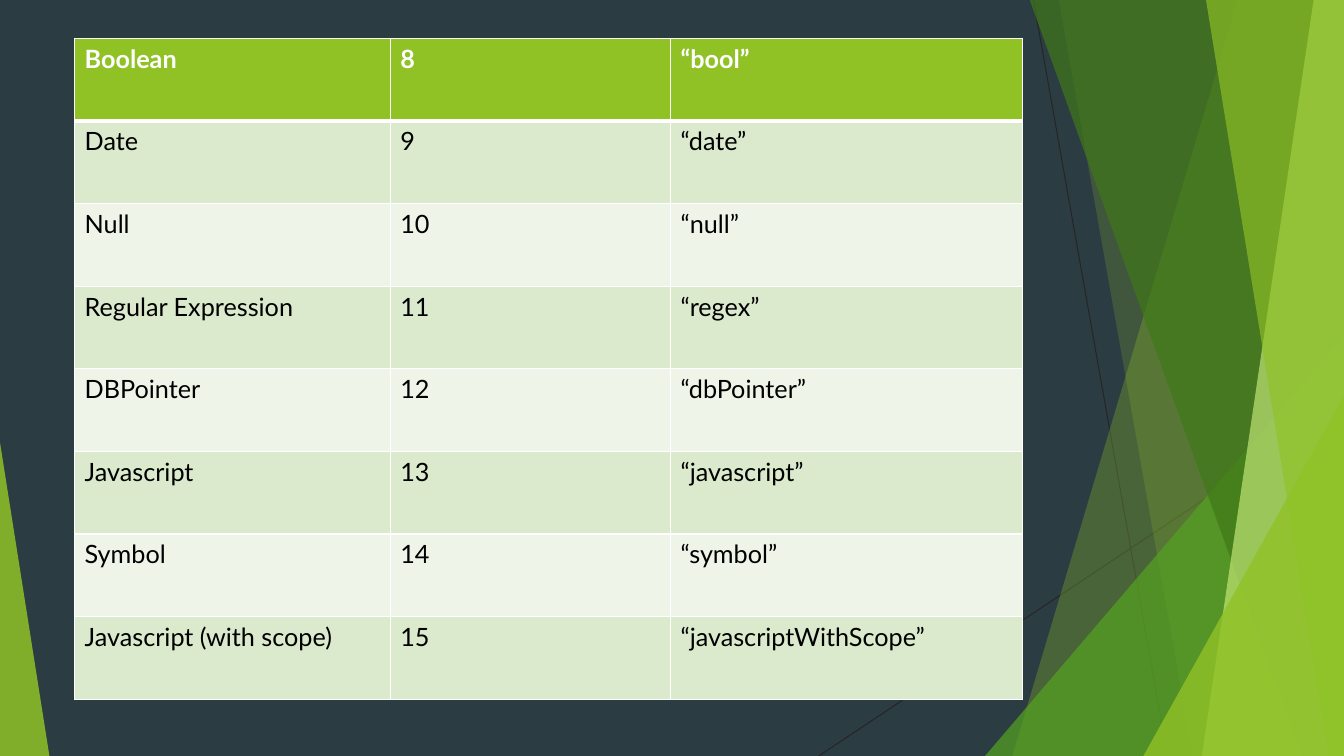
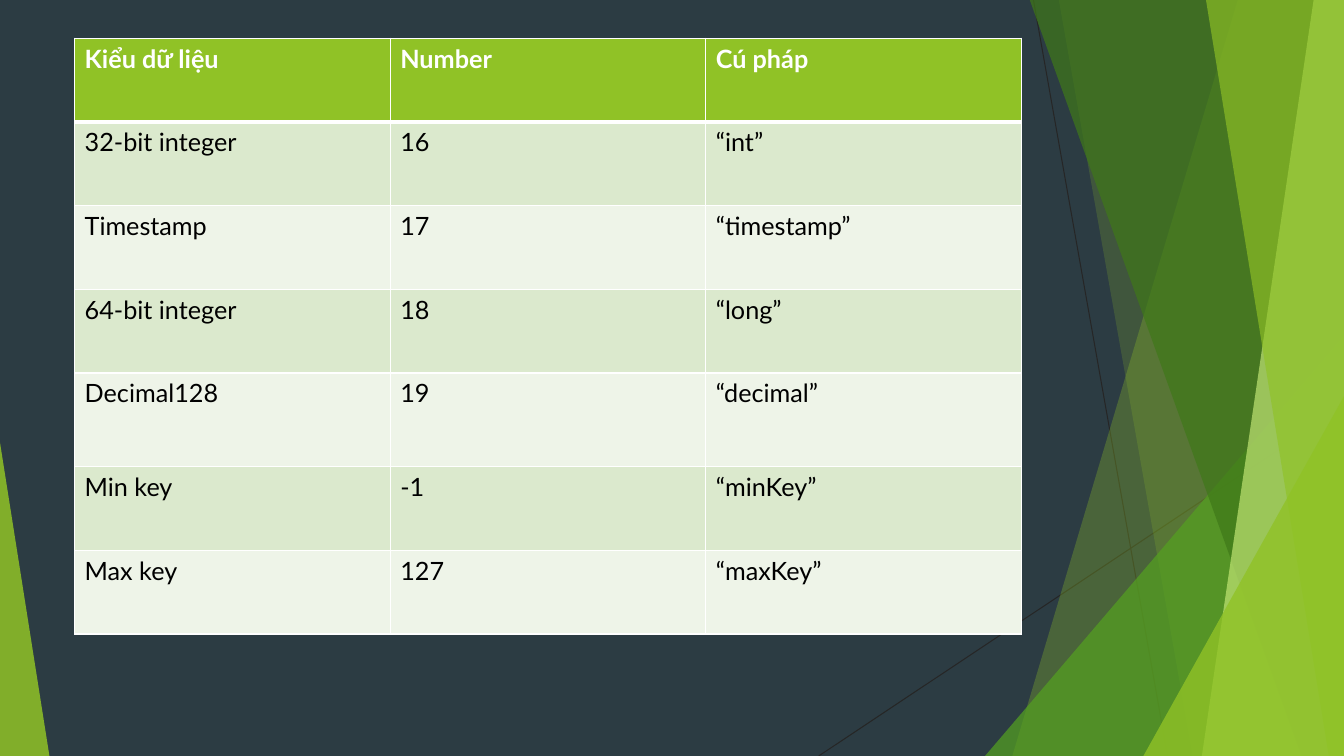
import pptx
import pptx.util
import pptx.dml.color
import pptx.enum.shapes
import pptx.oxml
import pptx.oxml.ns
import lxml.etree

Inches = pptx.util.Inches
Pt = pptx.util.Pt
RGB = pptx.dml.color.RGBColor
qn = pptx.oxml.ns.qn

NIGHT = RGB(0x2C, 0x3C, 0x43)
INK = RGB(0x26, 0x26, 0x26)
LIME = RGB(0x90, 0xC2, 0x26)
GREEN = RGB(0x54, 0xA0, 0x21)
MOSS = RGB(0x3F, 0x78, 0x19)
PALE = RGB(0xC0, 0xE4, 0x74)
BAND = RGB(0xDB, 0xE9, 0xCD)
SOFT = RGB(0xEE, 0xF4, 0xE8)
WHITE = RGB(0xFF, 0xFF, 0xFF)
BLACK = RGB(0, 0, 0)

FONT = "Lato"
WIDE, HIGH = 13.33, 7.5
RISE = -0.01

TYPES = [
    ("Boolean", "8", "“bool”"),
    ("Date", "9", "“date”"),
    ("Null", "10", "“null”"),
    ("Regular Expression", "11", "“regex”"),
    ("DBPointer", "12", "“dbPointer”"),
    ("Javascript", "13", "“javascript”"),
    ("Symbol", "14", "“symbol”"),
    ("Javascript (with scope)", "15", "“javascriptWithScope”"),
]
MORE = [
    ("Kiểu dữ liệu", "Number", "Cú pháp"),
    ("32-bit integer", "16", "“int”"),
    ("Timestamp", "17", "“timestamp”"),
    ("64-bit integer", "18", "“long”"),
    ("Decimal128", "19", "“decimal”"),
    ("Min key", "-1", "“minKey”"),
    ("Max key", "127", "“maxKey”"),
]


def tint(shape, color, alpha):
    shape.shadow.inherit = False
    shape.line.fill.background()
    shape.fill.solid()
    shape.fill.fore_color.rgb = color
    node = shape.fill._xPr.find(".//" + qn("a:srgbClr"))
    lxml.etree.SubElement(node, qn("a:alpha"), val=str(alpha * 1000))


def add_line(slide, *ends):
    line = slide.shapes.add_connector(
        pptx.enum.shapes.MSO_CONNECTOR.STRAIGHT, *map(Inches, ends))
    line.line.color.rgb = INK
    line.line.width = Pt(0.75)
    lxml.etree.SubElement(line._element.spPr, qn("a:effectLst"))


def add_shard(slide, top, base, color, alpha):
    pen = slide.shapes.build_freeform(Inches(top), Inches(RISE))
    rest = [(WIDE, RISE), (WIDE, HIGH), (base, HIGH)]
    pen.add_line_segments([(Inches(x), Inches(y)) for x, y in rest])
    tint(pen.convert_to_shape(), color, alpha)


def add_peak(slide, left, top, width, apex, color, alpha):
    peak = slide.shapes.add_shape(
        pptx.enum.shapes.MSO_SHAPE.ISOSCELES_TRIANGLE,
        Inches(left), Inches(top), Inches(width), Inches(HIGH - top))
    peak.adjustments[0] = apex
    tint(peak, color, alpha)


def add_decor(slide):
    add_line(slide, 10.25, 0, 11.58, HIGH)
    add_line(slide, WIDE, 4.03, 8.12, HIGH)
    add_shard(slide, 12.28, 10.04, LIME, 30)
    add_shard(slide, 10.5, 11.83, LIME, 20)
    add_peak(slide, 9.77, 3.33, 3.56, 1, GREEN, 72)
    add_shard(slide, 10.21, 12.91, MOSS, 70)
    add_shard(slide, 13.03, 11.92, PALE, 70)
    add_shard(slide, 11.96, 13.18, LIME, 65)
    add_peak(slide, 11.34, 3.93, 1.99, 1, LIME, 80)
    add_peak(slide, 0, 4.39, 0.49, 0, LIME, 85)


def add_edge(cell, side, width):
    edge = lxml.etree.SubElement(
        cell._tc.get_or_add_tcPr(), qn("a:ln" + side), w=str(Pt(width)))
    fill = lxml.etree.SubElement(edge, qn("a:solidFill"))
    lxml.etree.SubElement(fill, qn("a:srgbClr"), val=str(WHITE))


def fill_cell(cell, text, row):
    head = row == 0
    for side in "LRTB":
        thick = (side, row) in (("B", 0), ("T", 1))
        add_edge(cell, side, 3 if thick else 1)
    cell.fill.solid()
    cell.fill.fore_color.rgb = LIME if head else BAND if row % 2 else SOFT
    cell.text = text
    font = cell.text_frame.paragraphs[0].font
    font.name = FONT
    font.size = Pt(18)
    font.bold = head
    font.color.rgb = WHITE if head else BLACK


def add_grid(slide, rows, widths, heights):
    grid = slide.shapes.add_table(
        len(rows), len(widths), Inches(0.74), Inches(0.38),
        Inches(sum(widths)), Inches(sum(heights))).table
    for col, width in zip(grid.columns, widths):
        col.width = Inches(width)
    for line, height in zip(grid.rows, heights):
        line.height = Inches(height)
    for i, row in enumerate(rows):
        for j, text in enumerate(row):
            fill_cell(grid.cell(i, j), text, i)


def main():
    deck = pptx.Presentation()
    deck.slide_width = Inches(WIDE)
    deck.slide_height = Inches(HIGH)
    back = deck.slide_master.background.fill
    back.solid()
    back.fore_color.rgb = NIGHT
    tables = [
        (TYPES, [3.13, 2.78, 3.49], [0.82] * 8),
        (MORE, [3.13] * 3, [0.83] * 4 + [0.93] + [0.83] * 2),
    ]
    for rows, widths, heights in tables:
        slide = deck.slides.add_slide(deck.slide_layouts[6])
        add_decor(slide)
        add_grid(slide, rows, widths, heights)
    deck.save("out.pptx")


main()
